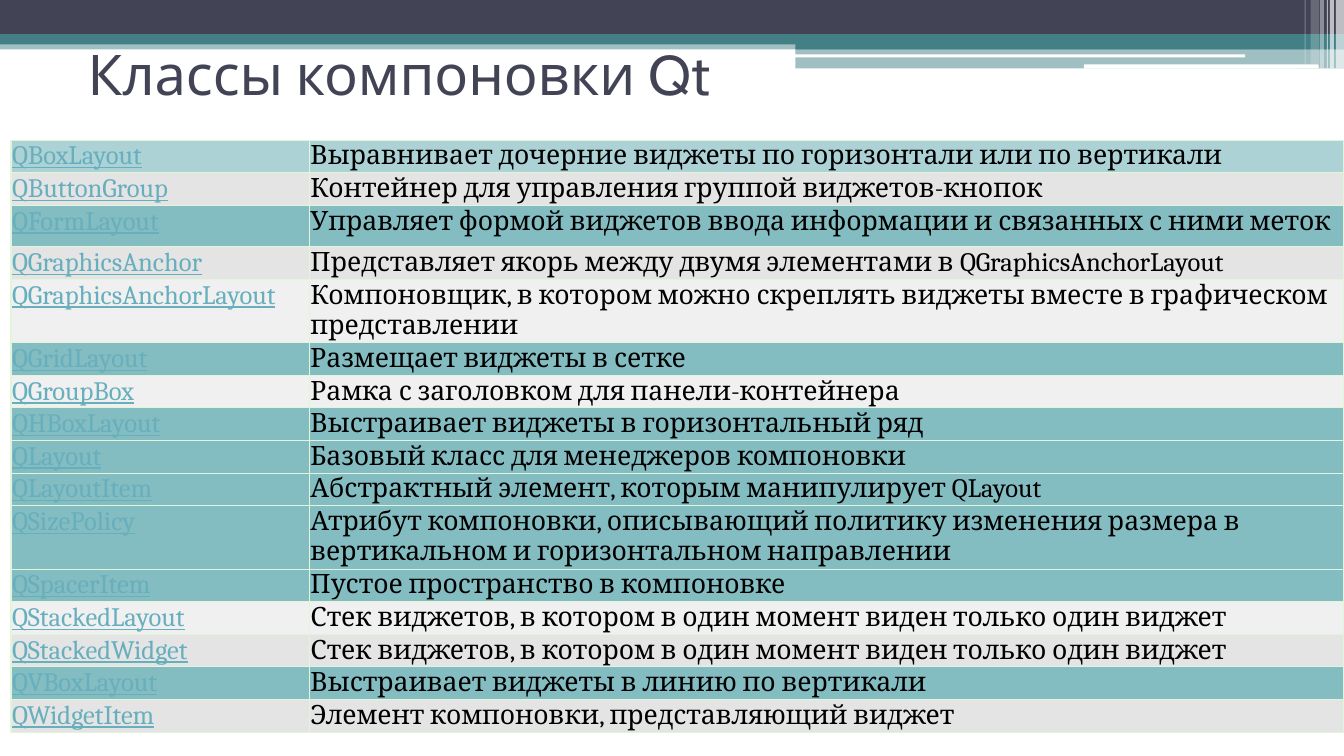
"""Builds a slide listing the Qt layout classes in a two-column table."""
from lxml import etree
from pptx import Presentation
from pptx.dml.color import RGBColor
from pptx.enum.shapes import MSO_SHAPE
from pptx.enum.text import MSO_ANCHOR, PP_ALIGN
from pptx.oxml.ns import qn
from pptx.util import Inches, Pt

RECT, ROUNDED = MSO_SHAPE.RECTANGLE, MSO_SHAPE.ROUNDED_RECTANGLE
LEFT, MIDDLE = PP_ALIGN.LEFT, MSO_ANCHOR.MIDDLE

INK, TEAL, WHITE, BLACK = "424456", "438086", "FFFFFF", "000000"
LINK, BORDER = "67AFBD", "E0F5D9"
PALE, GREY, LIGHT, MEDIUM = "ADD2D6", "E4E4E4", "F0F0F0", "83BCC1"
SINGLE, TALL, DOUBLE = 0.32, 0.41, 0.63

TITLE = "Классы компоновки Qt"
CLASSES = [
    ("QBoxLayout", "Выравнивает дочерние виджеты по горизонтали или по вертикали", PALE, SINGLE),
    ("QButtonGroup", "Контейнер для управления группой виджетов-кнопок", GREY, SINGLE),
    ("QFormLayout", "Управляет формой виджетов ввода информации и связанных с ними меток", MEDIUM, TALL),
    ("QGraphicsAnchor", "Представляет якорь между двумя элементами в QGraphicsAnchorLayout", GREY, SINGLE),
    ("QGraphicsAnchorLayout",
     "Компоновщик, в котором можно скреплять виджеты вместе в графическом представлении", LIGHT, DOUBLE),
    ("QGridLayout", "Размещает виджеты в сетке", MEDIUM, SINGLE),
    ("QGroupBox", "Рамка с заголовком для панели-контейнера", LIGHT, SINGLE),
    ("QHBoxLayout", "Выстраивает виджеты в горизонтальный ряд", MEDIUM, SINGLE),
    ("QLayout", "Базовый класс для менеджеров компоновки", MEDIUM, SINGLE),
    ("QLayoutItem", "Абстрактный элемент, которым манипулирует QLayout", MEDIUM, SINGLE),
    ("QSizePolicy",
     "Атрибут компоновки, описывающий политику изменения размера в вертикальном и горизонтальном направлении",
     MEDIUM, DOUBLE),
    ("QSpacerItem", "Пустое пространство в компоновке", MEDIUM, SINGLE),
    ("QStackedLayout", "Стек виджетов, в котором в один момент виден только один виджет", LIGHT, SINGLE),
    ("QStackedWidget", "Стек виджетов, в котором в один момент виден только один виджет", GREY, SINGLE),
    ("QVBoxLayout", "Выстраивает виджеты в линию по вертикали", MEDIUM, SINGLE),
    ("QWidgetItem", "Элемент компоновки, представляющий виджет", GREY, SINGLE),
]
COLUMNS = (2.96, 10.26)
TABLE_LEFT, TABLE_TOP = 0.11, 1.39
EDGES = {"a:lnL": 1, "a:lnR": 1, "a:lnT": 0.6, "a:lnB": 0.6}

BANDS = [
    (RECT, 0, 0.4, 13.33, 0.09, TEAL, 50),
    (RECT, 0, 0, 13.33, 0.34, INK, 100),
    (RECT, 0, 0.34, 13.33, 0.1, TEAL, 100),
    (RECT, 7.89, 0.39, 5.44, 0.1, TEAL, 100),
    (RECT, 7.89, 0.48, 5.44, 0.2, TEAL, 50),
    (ROUNDED, 7.88, 0.54, 4.47, 0.03, WHITE, 100),
    (ROUNDED, 10.75, 0.64, 2.33, 0.04, WHITE, 100),
]
STRIPES = [
    (13.25, 0.08, 0.68, 65),
    (13.19, 0.04, 0.68, 65),
    (13.16, 0.01, 0.68, 60),
    (13.09, 0.04, 0.68, 40),
    (13, 0.08, 0.64, 20),
    (12.94, 0.01, 0.64, 30),
]


def rgb(value):
    return RGBColor.from_string(value)


def add_band(slide, kind, left, top, width, height, color, opacity):
    band = slide.shapes.add_shape(kind, Inches(left), Inches(top), Inches(width), Inches(height))
    band.shadow.inherit = False
    band.line.fill.background()
    band.fill.solid()
    band.fill.fore_color.rgb = rgb(color)
    if opacity < 100:
        tint = band.fill._xPr.find(".//" + qn("a:srgbClr"))
        etree.SubElement(tint, qn("a:alpha"), val=str(opacity * 1000))


def add_borders(cell):
    properties = cell._tc.get_or_add_tcPr()
    for edge, width in EDGES.items():
        line = etree.SubElement(properties, qn(edge), w=str(Pt(width)))
        fill = etree.SubElement(line, qn("a:solidFill"))
        etree.SubElement(fill, qn("a:srgbClr"), val=BORDER)


def fill_cell(cell, text, background, color, underline):
    add_borders(cell)
    cell.fill.solid()
    cell.fill.fore_color.rgb = rgb(background)
    cell.margin_left = cell.margin_right = cell.margin_top = cell.margin_bottom = Inches(0.01)
    cell.text = text
    font = cell.text_frame.paragraphs[0].font
    font.name, font.size, font.underline = "Cambria", Pt(19), underline
    font.color.rgb = rgb(color)
    if underline:
        cell.text_frame.paragraphs[0].runs[0].font.underline = True


def add_class_table(slide):
    total = sum(height for *_, height in CLASSES)
    table = slide.shapes.add_table(len(CLASSES), len(COLUMNS), Inches(TABLE_LEFT), Inches(TABLE_TOP),
                                   Inches(sum(COLUMNS)), Inches(total)).table
    table.first_row = table.horz_banding = False
    for column, width in zip(table.columns, COLUMNS):
        column.width = Inches(width)
    for row, (name, purpose, background, height) in zip(table.rows, CLASSES):
        row.height = Inches(height)
        fill_cell(row.cells[0], name, background, LINK, True)
        fill_cell(row.cells[1], purpose, background, BLACK, False)


def set_title(slide):
    title = slide.shapes.title
    title.left, title.top, title.width, title.height = map(Inches, (0.77, 0.14, 12, 1.17))
    title.text = TITLE
    title.text_frame.vertical_anchor = MIDDLE
    heading = title.text_frame.paragraphs[0]
    heading.alignment = LEFT
    heading.font.name, heading.font.size = "Cabin", Pt(40)
    heading.font.color.rgb = rgb(INK)


def main():
    deck = Presentation()
    deck.slide_width, deck.slide_height = Inches(13.33), Inches(7.5)
    slide = deck.slides.add_slide(deck.slide_layouts[5])
    set_title(slide)
    for band in BANDS:
        add_band(slide, *band)
    for left, width, height, opacity in STRIPES:
        add_band(slide, RECT, left, 0, width, height, WHITE, opacity)
    add_class_table(slide)
    deck.save("out.pptx")


if __name__ == "__main__":
    main()
